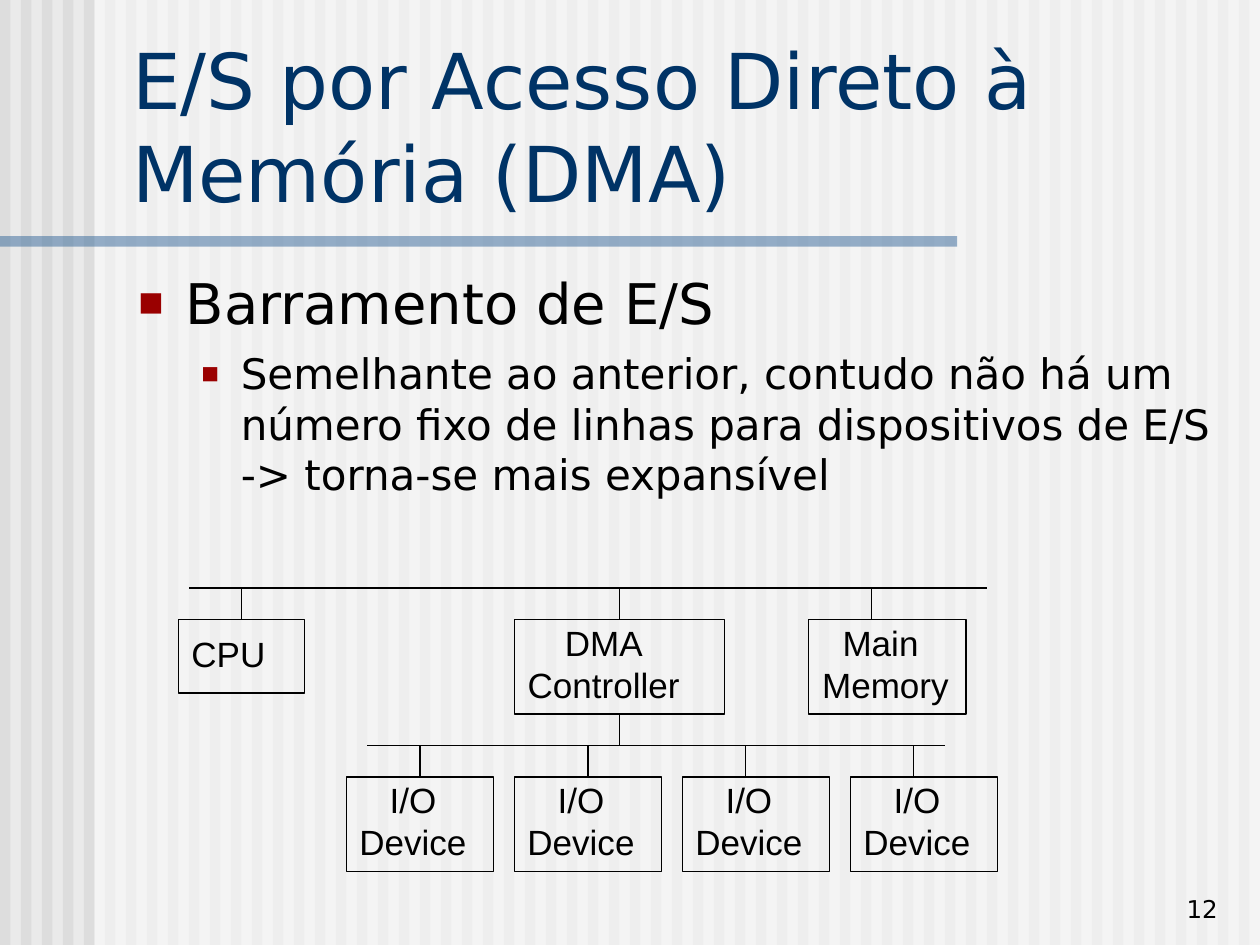
"""Slide on DMA input/output over an I/O bus."""
from lxml import etree
from pptx import Presentation
from pptx.dml.color import RGBColor
from pptx.enum import shapes as s, text as t
from pptx.oxml.ns import qn
from pptx.util import Pt

BLACK = RGBColor(0, 0, 0)
WHITE = RGBColor(255, 255, 255)
PAPER = RGBColor(0xEA, 0xEA, 0xEA)
STRIPE = RGBColor(0xDD, 0xDD, 0xDD)
STEEL = RGBColor(0x33, 0x66, 0x99)
NAVY = RGBColor(0x00, 0x33, 0x66)
SANS = "DejaVu Sans"

deck = Presentation()
deck.slide_width, deck.slide_height = Pt(720), Pt(540)
slide = deck.slides.add_slide(deck.slide_layouts[6])
slide.background.fill.solid()
slide.background.fill.fore_color.rgb = PAPER


def add_box(left, top, width, height, color=None, alpha=None):
    box = slide.shapes.add_shape(s.MSO_SHAPE.RECTANGLE, Pt(left), Pt(top), Pt(width), Pt(height))
    box.shadow.inherit = False
    if color is None:
        box.fill.background()
        box.line.color.rgb = BLACK
        box.line.width = Pt(1)
        return
    box.fill.solid()
    box.fill.fore_color.rgb = color
    box.line.fill.background()
    if alpha:
        tint = box.fill._xPr.find(".//" + qn("a:srgbClr"))
        etree.SubElement(tint, qn("a:alpha"), val=str(alpha * 1000))


def add_text(left, top, width, height, lines, size, font=SANS, color=BLACK,
             align=t.PP_ALIGN.LEFT, anchor=t.MSO_ANCHOR.TOP, wrap=True):
    frame = slide.shapes.add_textbox(Pt(left), Pt(top), Pt(width), Pt(height)).text_frame
    frame.word_wrap = wrap
    frame.vertical_anchor = anchor
    if not wrap:
        frame.auto_size = t.MSO_AUTO_SIZE.SHAPE_TO_FIT_TEXT
    for i, line in enumerate(lines):
        paragraph = frame.paragraphs[0] if i == 0 else frame.add_paragraph()
        paragraph.alignment = align
        run = paragraph.add_run()
        run.text = line
        run.font.size, run.font.name = Pt(size), font
        run.font.color.rgb = color
    return frame


for column in range(60):
    add_box(column * 12, 0, 6, 540, STRIPE)
add_box(54, 0, 666, 540, WHITE, 50)
add_box(0, 135, 547, 6, STEEL, 50)

add_text(553, 495, 150, 36, ["12"], 14, align=t.PP_ALIGN.RIGHT, anchor=t.MSO_ANCHOR.BOTTOM)
add_text(68.5, 15, 643, 113, ["E/S por Acesso Direto à Memória (DMA)"], 44,
         color=NAVY, anchor=t.MSO_ANCHOR.BOTTOM)

body = add_text(72, 150, 639, 330, [
    "Barramento de E/S",
    "Semelhante ao anterior, contudo não há um número fixo de linhas para "
    "dispositivos de E/S -> torna-se mais expansível"], 32)
bullet_rules = [(0, 32, 8, 27, 27, 75), (1, 24, 6.9, 58.5, 22.5, 70)]
for paragraph, (level, size, before, margin, hanging, scale) in zip(body.paragraphs, bullet_rules):
    paragraph.level = level
    paragraph.space_before = Pt(before)
    paragraph.runs[0].font.size = Pt(size)
    props = paragraph._p.get_or_add_pPr()
    props.set("marL", str(Pt(margin)))
    props.set("indent", str(-Pt(hanging)))
    bullet_color = etree.SubElement(props, qn("a:buClr"))
    etree.SubElement(bullet_color, qn("a:srgbClr"), val="9A0000")
    etree.SubElement(props, qn("a:buSzPct"), val=str(scale * 1000))
    etree.SubElement(props, qn("a:buFont"), typeface="Arial")
    etree.SubElement(props, qn("a:buChar"), char="■")

units = [
    (102, 354, 72, 42, ["CPU"], 358, 57),
    (294, 354, 120, 54, ["DMA", "Controller"], 351.5, 102),
    (462, 354, 90, 54, ["Main ", "Memory"], 351.5, 88),
]
units += [(198 + 96 * i, 444, 84, 54, ["I/O", "Device"], 441.5, 76) for i in range(4)]
for left, top, width, height, label, label_top, label_width in units:
    add_box(left, top, width, height)
    add_text(left, label_top, label_width, 31.5 if len(label) == 1 else 55.5, label, 20,
             "Arial", align=t.PP_ALIGN.CENTER, wrap=False)

wires = [(108, 336, 564, 336), (210, 426, 540, 426), (354, 408, 354, 426)]
wires += [(x, 336, x, 354) for x in (138, 354, 498)]
wires += [(x, 426, x, 444) for x in (240, 336, 426, 522)]
for wire in wires:
    link = slide.shapes.add_connector(s.MSO_CONNECTOR.STRAIGHT, *map(Pt, wire))
    link.line.color.rgb = BLACK
    link.line.width = Pt(1)
    etree.SubElement(link._element.spPr, qn("a:effectLst"))

deck.save("out.pptx")
